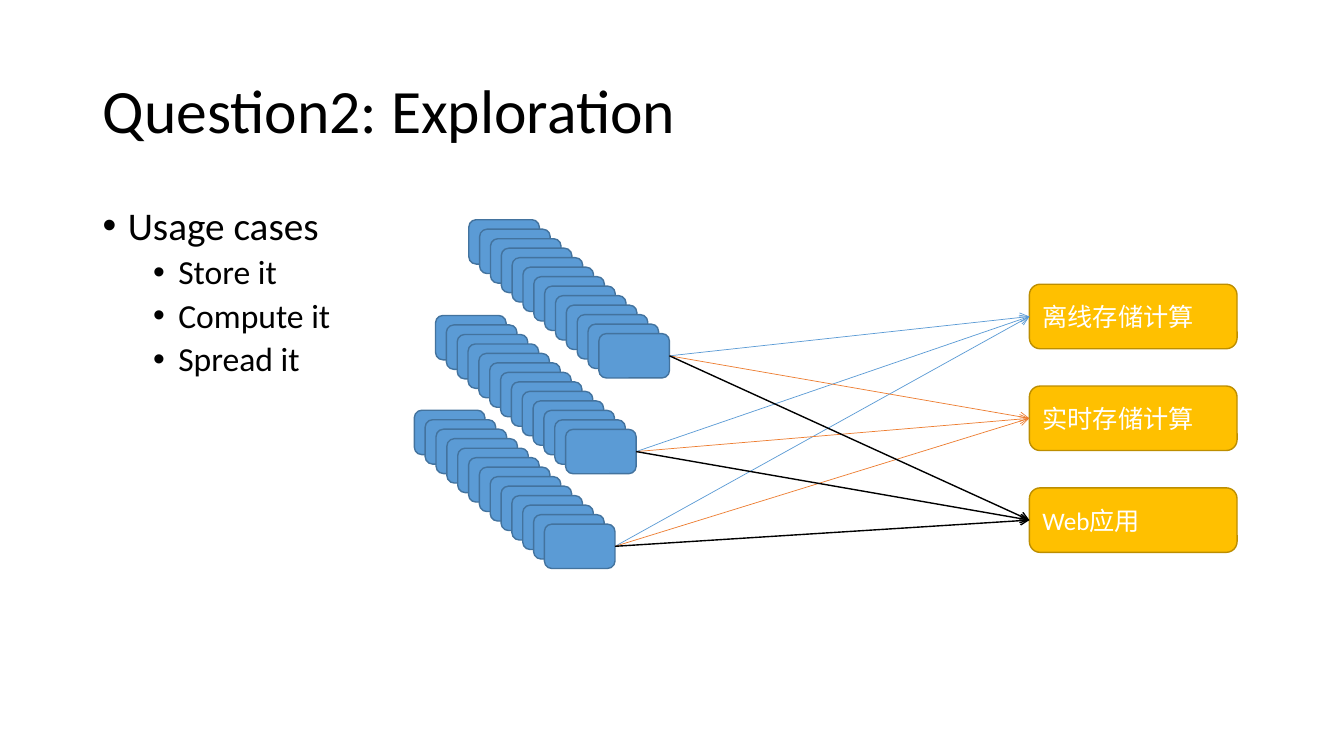
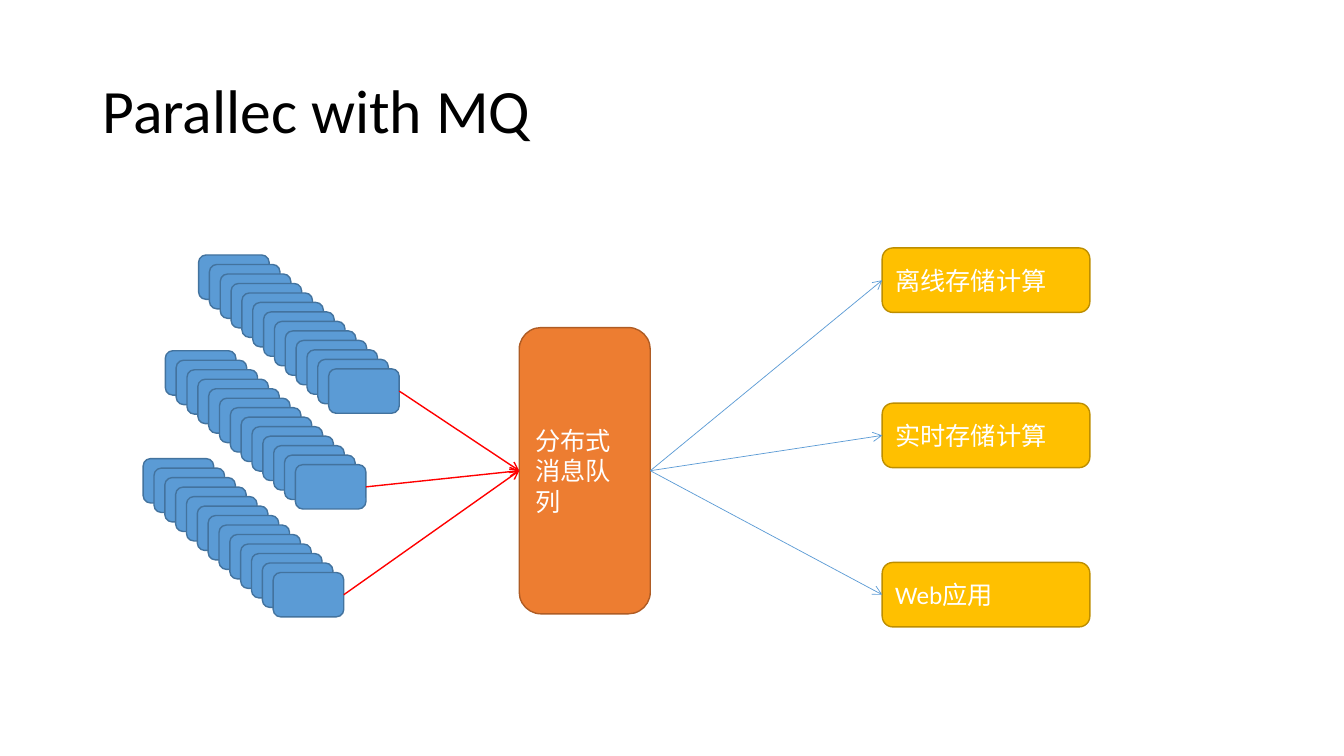
from lxml.etree import SubElement
from pptx import Presentation
from pptx.dml.color import RGBColor as Rgb
from pptx.enum.shapes import MSO_CONNECTOR as Link, MSO_SHAPE as Form
from pptx.enum.text import MSO_ANCHOR as Anchor
from pptx.oxml.ns import qn
from pptx.util import Inches, Pt

HUES = {
    "black": "000000", "white": "FFFFFF", "red": "FF0000",
    "blue": "5B9BD5", "navy": "43739E",
    "gold": "FFC000", "ochre": "BD8E00",
    "orange": "ED7D31", "rust": "AF5C24",
}
TASKS = ("离线存储计算", "实时存储计算", "Web应用")


class Deck:
    """Holds the shared style and the current slide."""

    font = "Calibri"
    count = 13
    drift = (1.29 / 12, 1.13 / 12)

    def __init__(self):
        self.file = Presentation()
        self.file.slide_width = Inches(13.33)
        self.file.slide_height = Inches(7.5)

    def hue(self, name):
        return Rgb.from_string(HUES[name])

    def style(self, para, size, color):
        for run in para.runs:
            run.font.size = Pt(size)
            run.font.name = self.font
            run.font.color.rgb = self.hue(color)

    def frame(self, x, y, w, h):
        spot = map(Inches, (x, y, w, h))
        frame = self.slide.shapes.add_textbox(*spot).text_frame
        frame.word_wrap = True
        return frame

    def page(self, title):
        self.slide = self.file.slides.add_slide(self.file.slide_layouts[6])
        frame = self.frame(0.92, 0.4, 11.5, 1.45)
        frame.vertical_anchor = Anchor.MIDDLE
        frame.text = title
        para = frame.paragraphs[0]
        para.line_spacing = 0.9
        self.style(para, 44, "black")

    def list(self, head, items):
        frame = self.frame(0.92, 2, 11.5, 4.76)
        frame.text = "\n".join((head, *items))
        for i, para in enumerate(frame.paragraphs):
            size, gap, left = (24, 5, 0.75) if i else (28, 10, 0.25)
            para.level = 1 if i else 0
            para.line_spacing = 0.9
            para.space_before = Pt(gap)
            self.style(para, size, "black")
            props = para._p.get_or_add_pPr()
            props.set("marL", str(Inches(left)))
            props.set("indent", str(Inches(-0.25)))
            SubElement(props, qn("a:buFont"), typeface="Arial")
            SubElement(props, qn("a:buChar"), char="•")

    def box(self, x, y, w, h, fill, edge, text="", home=None):
        shapes = (home or self.slide).shapes
        box = shapes.add_shape(Form.ROUNDED_RECTANGLE, *map(Inches, (x, y, w, h)))
        box.shadow.inherit = False
        box.fill.solid()
        box.fill.fore_color.rgb = self.hue(fill)
        box.line.color.rgb = self.hue(edge)
        box.line.width = Pt(1)
        if text:
            box.text_frame.text = text
            self.style(box.text_frame.paragraphs[0], 18, "white")
        return box

    def stack(self, x, y):
        group = self.slide.shapes.add_group_shape()
        dx, dy = self.drift
        for i in range(self.count):
            front = self.box(x + i * dx, y + i * dy, 0.7, 0.44, "blue", "navy", home=group)
        return front

    def tasks(self, x, tops):
        return [self.box(x, y, 2.06, 0.64, "gold", "ochre", text)
                for text, y in zip(TASKS, tops)]

    def arrow(self, start, end, color, width):
        arrow = self.slide.shapes.add_connector(Link.STRAIGHT, 0, 0, 0, 0)
        arrow.begin_connect(start, 3)
        arrow.end_connect(end, 1)
        arrow.line.color.rgb = self.hue(color)
        arrow.line.width = Pt(width)
        SubElement(arrow.line._get_or_add_ln(), qn("a:tailEnd"), type="arrow")
        SubElement(arrow._element.spPr, qn("a:effectLst"))


def direct(deck):
    deck.page("Question2: Exploration")
    deck.list("Usage cases", ("Store it", "Compute it", "Spread it"))
    stacks = [deck.stack(x, y) for x, y in ((4.65, 2.18), (4.32, 3.13), (4.11, 4.07))]
    tasks = deck.tasks(10.21, [2.82 + 1.01 * i for i in range(3)])
    looks = (("blue", 0.5), ("orange", 0.5), ("black", 1))
    for task, look in zip(tasks, looks):
        for front in stacks:
            deck.arrow(front, task, *look)


def queued(deck):
    deck.page("Parallec with MQ")
    stacks = [deck.stack(x, y) for x, y in ((1.97, 2.53), (1.64, 3.48), (1.42, 4.55))]
    tasks = deck.tasks(8.75, (2.46, 4, 5.58))
    queue = deck.box(5.15, 3.25, 1.3, 2.84, "orange", "rust", "分布式消息队列")
    for front in stacks:
        deck.arrow(front, queue, "red", 1)
    for task in tasks:
        deck.arrow(queue, task, "blue", 0.5)


def main():
    deck = Deck()
    direct(deck)
    queued(deck)
    deck.file.save("out.pptx")


if __name__ == "__main__":
    main()
